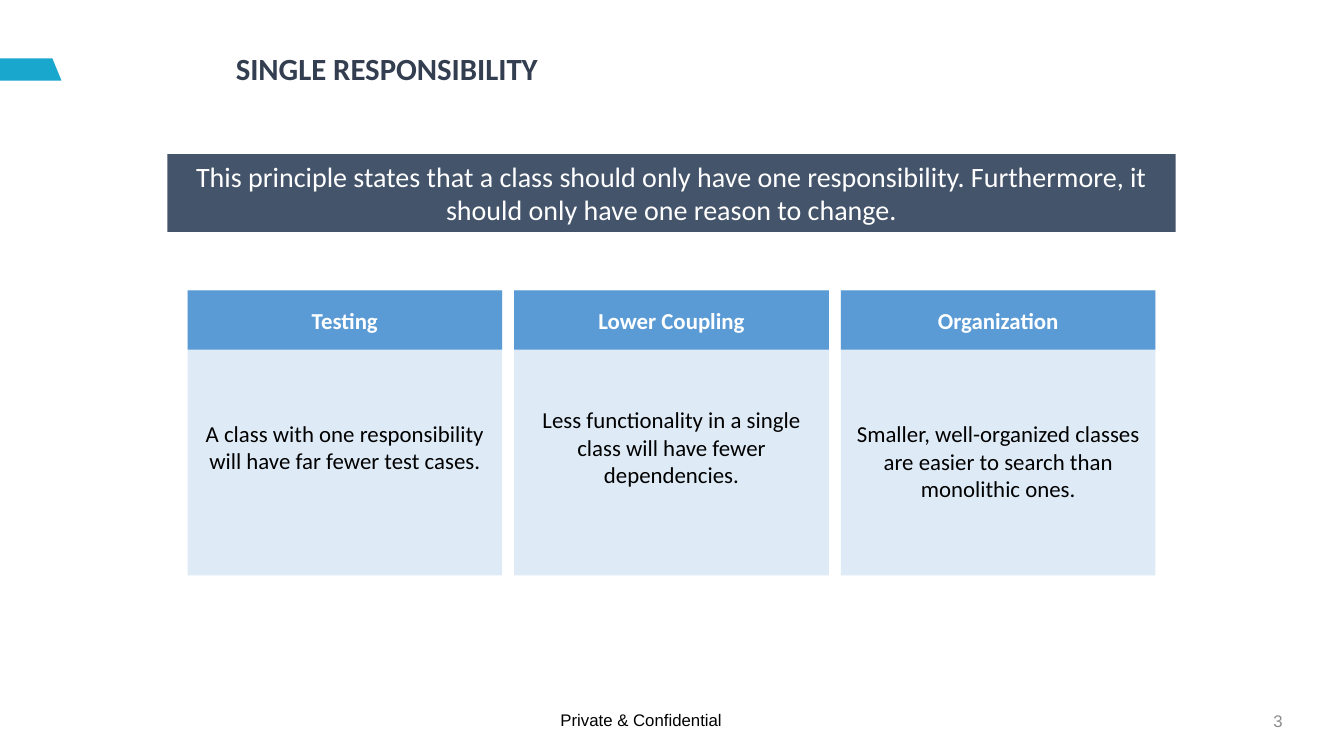
"""Build the Single Responsibility slide."""
import pptx
import pptx.util
import pptx.dml.color
import pptx.enum.shapes
import pptx.enum.text

Inches = pptx.util.Inches
RGBColor = pptx.dml.color.RGBColor
ALIGN = pptx.enum.text.PP_ALIGN
ANCHOR = pptx.enum.text.MSO_ANCHOR

TITLE = "SINGLE RESPONSIBILITY"
PRINCIPLE = ("This principle states that a class should only have one responsibility. "
             "Furthermore, it should only have one reason to change.")
BENEFITS = [
    ("Testing", "A class with one responsibility will have far fewer test cases.", 1),
    ("Lower Coupling", "Less functionality in a single class will have fewer dependencies.", 1),
    ("Organization", "Smaller, well-organized classes are easier to search than monolithic ones.", 2),
]
FOOTER = "Private & Confidential"
PAGE = "3"

WHITE = RGBColor(0xFF, 0xFF, 0xFF)
BLACK = RGBColor(0x00, 0x00, 0x00)
GRAY = RGBColor(0x8C, 0x8C, 0x8C)
TITLE_INK = RGBColor(0x33, 0x3F, 0x50)
SLATE = RGBColor(0x44, 0x54, 0x6A)
BLUE = RGBColor(0x5B, 0x9B, 0xD5)
PALE = RGBColor(0xDE, 0xEB, 0xF7)
TEAL = RGBColor(0x19, 0xA7, 0xCE)

CARD_LEFT, CARD_TOP, CARD_W, CARD_H = 1.86, 2.88, 3.12, 2.83
CARD_STEP, HEADER_H, LINE_H = 3.24, 0.59, 0.28


def paint(sp, color):
    sp.shadow.inherit = False
    sp.fill.solid()
    sp.fill.fore_color.rgb = color
    sp.line.fill.background()


def add_text(s, text, box, size, color, fill=None, font="Calibri", bold=False,
             align=ALIGN.LEFT, anchor=ANCHOR.MIDDLE, wrap=True, top=0.05, spacing=None):
    at = [Inches(v) for v in box]
    if fill is None:
        sp = s.shapes.add_textbox(*at)
    else:
        sp = s.shapes.add_shape(pptx.enum.shapes.MSO_SHAPE.RECTANGLE, *at)
        paint(sp, fill)
    tf = sp.text_frame
    tf.word_wrap = wrap
    tf.vertical_anchor = anchor
    tf.margin_top = Inches(top)
    p = tf.paragraphs[0]
    p.alignment = align
    p.line_spacing = spacing
    r = p.add_run()
    r.text = text
    r.font.name = font
    r.font.size = pptx.util.Pt(size)
    r.font.bold = bold
    r.font.color.rgb = color
    return sp


def main():
    prs = pptx.Presentation()
    prs.slide_width, prs.slide_height = Inches(13.33), Inches(7.5)
    s = prs.slides.add_slide(prs.slide_layouts[6])

    add_text(s, PAGE, (9.82, 6.95, 3, 0.4), 12, GRAY, font="Arial", align=ALIGN.RIGHT)
    outline = s.shapes.build_freeform(Inches(0.52), Inches(0.58))
    outline.add_line_segments([(Inches(x), Inches(y)) for x, y in
                               [(0, 0.58), (0, 0.8), (0.61, 0.8)]])
    paint(outline.convert_to_shape(), TEAL)
    add_text(s, FOOTER, (5.46, 6.99, 1.81, 0.3), 12, BLACK, font="Arial",
             anchor=ANCHOR.TOP, wrap=False)
    add_text(s, TITLE, (2.24, 0.37, 8, 0.65), 22, TITLE_INK, bold=True, spacing=0.9)
    add_text(s, PRINCIPLE, (1.66, 1.53, 10, 0.77), 20, WHITE, fill=SLATE,
             align=ALIGN.CENTER, anchor=ANCHOR.TOP)

    for i, (heading, body, lines_down) in enumerate(BENEFITS):
        left = CARD_LEFT + i * CARD_STEP
        add_text(s, body, (left, CARD_TOP, CARD_W, CARD_H), 16.3, BLACK, fill=PALE,
                 align=ALIGN.CENTER, top=0.05 + lines_down * LINE_H)
        add_text(s, heading, (left, CARD_TOP, CARD_W, HEADER_H), 16.3, WHITE, fill=BLUE,
                 bold=True, align=ALIGN.CENTER)

    prs.save("out.pptx")


if __name__ == "__main__":
    main()
